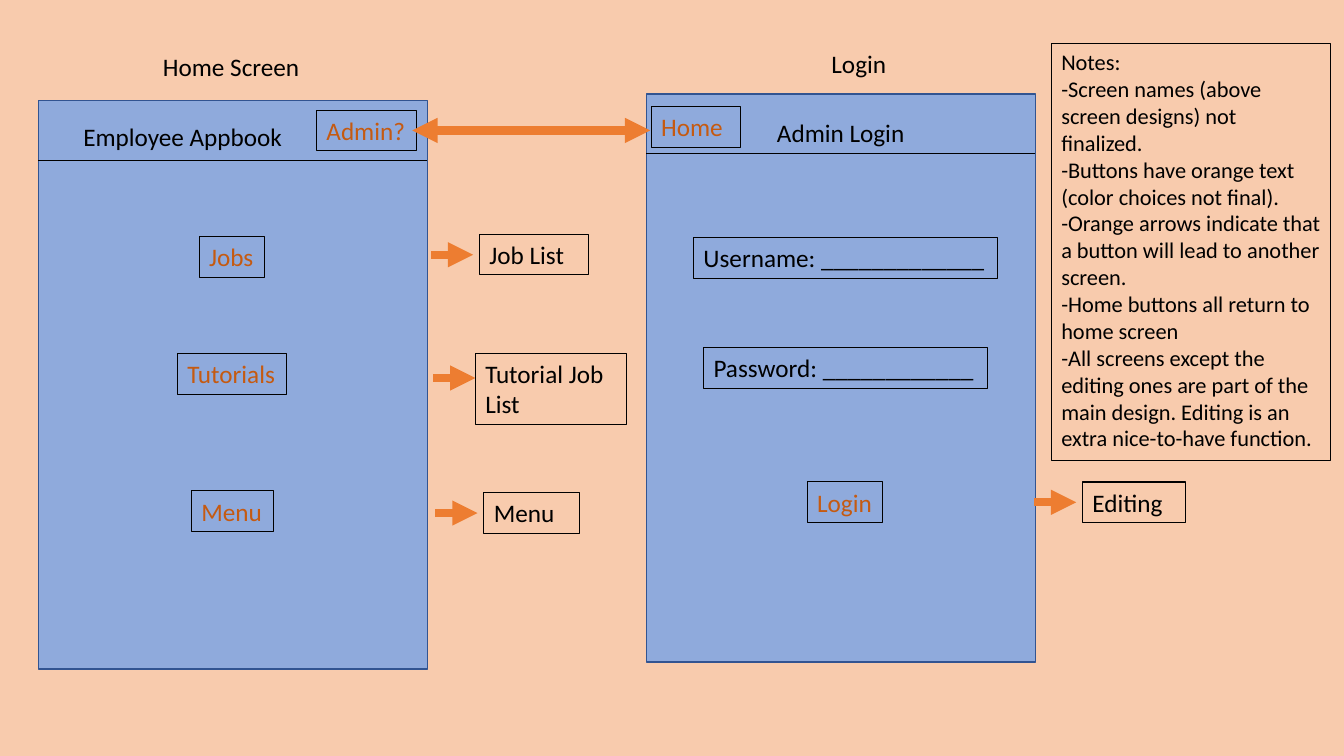
from pptx import Presentation
from pptx.dml.color import RGBColor
from pptx.enum.shapes import MSO_CONNECTOR, MSO_SHAPE
from pptx.enum.text import MSO_AUTO_SIZE, PP_ALIGN
from pptx.util import Pt
from lxml.etree import SubElement
from pptx.oxml.ns import qn

PEACH = RGBColor(0xF8, 0xCB, 0xAD)
BLUE = RGBColor(0x8F, 0xAA, 0xDC)
NAVY = RGBColor(0x32, 0x54, 0x91)
BLACK = RGBColor(0, 0, 0)
RUST = RGBColor(0xC5, 0x5A, 0x11)
ORANGE = RGBColor(0xED, 0x7D, 0x31)
ROW = 29
BAR = 42.5


def write(slide, text, x, y, wide, high=ROW, size=18, color=BLACK,
          edge=True, align=PP_ALIGN.LEFT, wrap=True):
    """Add a text box, one paragraph per line of text."""
    box = slide.shapes.add_textbox(Pt(x), Pt(y), Pt(wide), Pt(high))
    if edge:
        box.line.color.rgb = BLACK
        box.line.width = Pt(0.75)
    frame = box.text_frame
    frame.word_wrap = wrap
    frame.auto_size = MSO_AUTO_SIZE.SHAPE_TO_FIT_TEXT
    frame.text = text
    for para in frame.paragraphs:
        para.alignment = align
        font = para.runs[0].font
        font.name = "Calibri"
        font.size = Pt(size)
        font.color.rgb = color


def draw(slide, x, y, end, color, width, heads=()):
    """Add a level line with arrowheads at the named ends."""
    line = slide.shapes.add_connector(
        MSO_CONNECTOR.STRAIGHT, Pt(x), Pt(y), Pt(end), Pt(y))
    line.line.color.rgb = color
    line.line.width = Pt(width)
    stroke = line.line._get_or_add_ln()
    for head in heads:
        SubElement(stroke, qn(f"a:{head}")).set("type", "triangle")
    SubElement(line._element.spPr, qn("a:effectLst"))


def screen(slide, box, name, title, fields, buttons):
    """Place a screen with its name, title bar, fields and buttons."""
    left, top, wide, high = box
    panel = slide.shapes.add_shape(
        MSO_SHAPE.RECTANGLE, Pt(left), Pt(top), Pt(wide), Pt(high))
    panel.shadow.inherit = False
    panel.fill.solid()
    panel.fill.fore_color.rgb = BLUE
    panel.line.color.rgb = NAVY
    panel.line.width = Pt(1)
    draw(slide, left, top + BAR, left + wide, BLACK, 0.5)
    groups = (
        ([name], {"edge": False, "wrap": False}),
        ([title], {"edge": False, "align": PP_ALIGN.CENTER}),
        (fields, {}),
        (buttons, {"color": RUST}),
    )
    for items, style in groups:
        for text, x, y, span in items:
            write(slide, text, left + x, top + y, span, **style)


def target(slide, box, text, shaft, gap=4.5):
    """Place the box a button leads to and the arrow before it."""
    left, top, wide, high = box
    draw(slide, left - gap - 30, top + shaft, left - gap, ORANGE, 6, ["tailEnd"])
    write(slide, text, left, top, wide, high)


def notes(slide, box):
    """Place the notes panel."""
    lines = (
        "Notes:",
        "-Screen names (above screen designs) not finalized.",
        "-Buttons have orange text (color choices not final).",
        "-Orange arrows indicate that a button will lead to another screen.",
        "-Home buttons all return to home screen",
        "-All screens except the editing ones are part of the main design. "
        "Editing is an extra nice-to-have function.",
    )
    write(slide, "\n".join(lines), *box, size=16)


def build():
    """Build and save the slide."""
    deck = Presentation()
    deck.slide_width, deck.slide_height = Pt(960), Pt(540)
    slide = deck.slides.add_slide(deck.slide_layouts[6])
    slide.background.fill.solid()
    slide.background.fill.fore_color.rgb = PEACH
    screen(slide, (27.3, 72, 278, 406),
           ("Home Screen", 82, -39, 113),
           ("Employee Appbook", 24, 11, 158.4), [],
           [("Admin?", 198.8, 6.6, 71.3), ("Jobs", 115, 97, 47),
            ("Tutorials", 99.4, 180.5, 78), ("Menu", 109.5, 278.7, 58.5)])
    screen(slide, (461.6, 67, 278, 406),
           ("Login", 125.2, -36, 54),
           ("Admin Login", 85.6, 13.6, 106.6),
           [("Username: _____________", 33.8, 102.7, 217.4),
            ("Password: ____________", 41, 181.4, 202.5)],
           [("Home", 3.6, 9.2, 63.5), ("Login", 115, 277.2, 54)])
    target(slide, (342.5, 167.2, 78, ROW), "Job List", 14.8)
    target(slide, (339.6, 252.5, 108, 51), "Tutorial Job List", 17.5, 0)
    target(slide, (345.6, 352, 68.4, ROW), "Menu", 14.5)
    target(slide, (773.2, 344.3, 73.5, ROW), "Editing", 14.5)
    draw(slide, 294.5, 93.2, 464.4, ORANGE, 6, ["headEnd", "tailEnd"])
    notes(slide, (751, 31, 199.5, 298))
    deck.save("out.pptx")


build()
